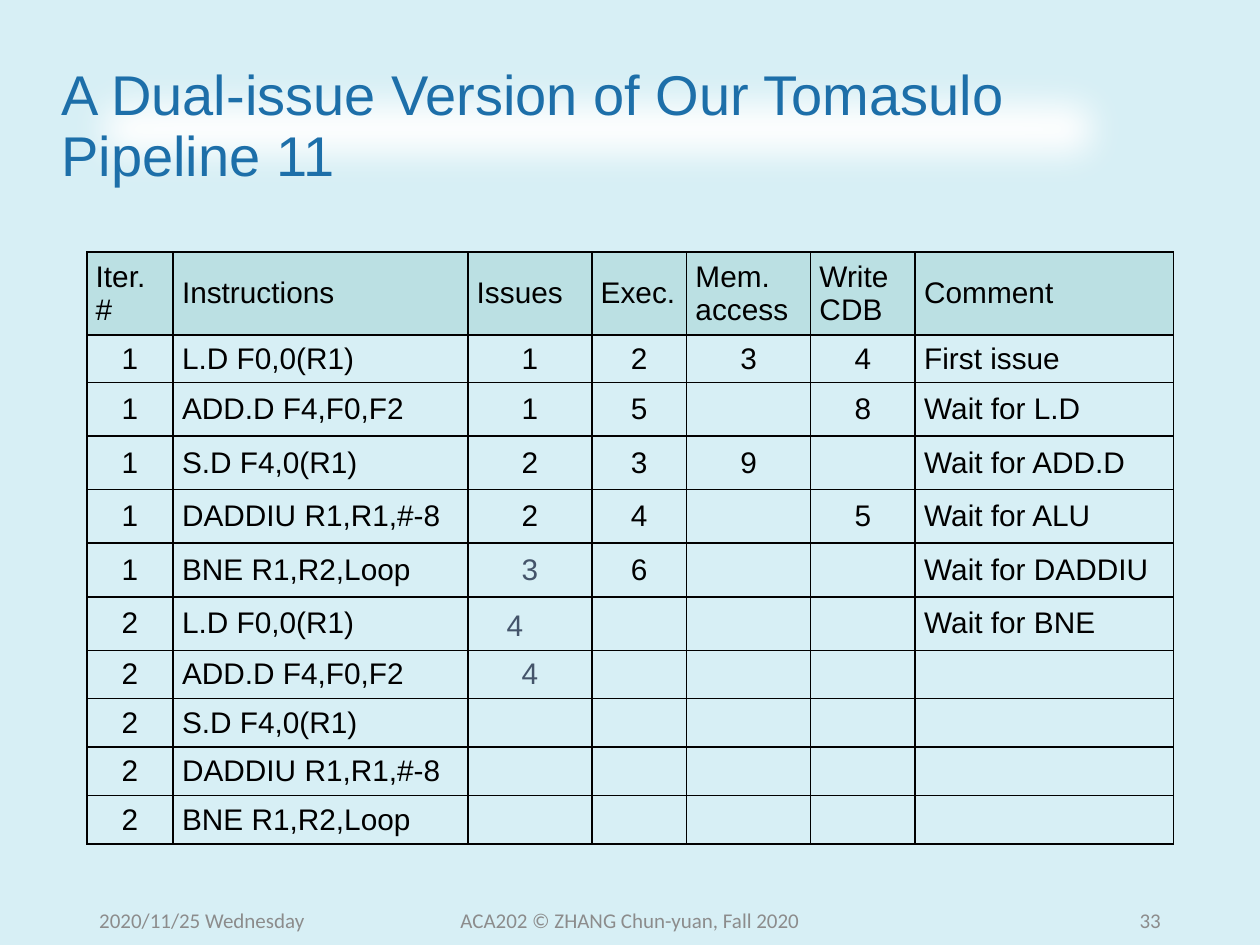
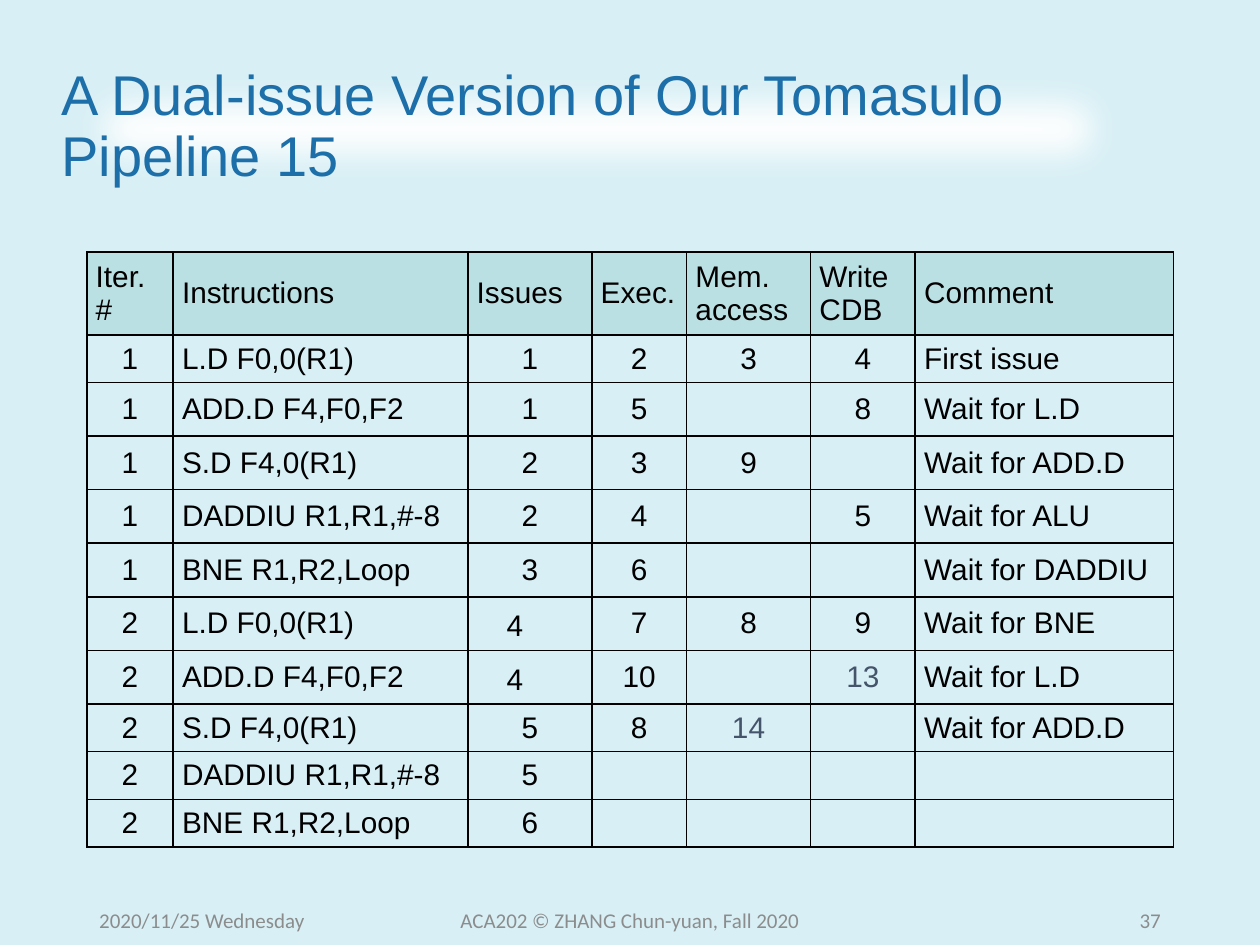
from lxml.etree import SubElement
from pptx import Presentation
from pptx.dml.color import RGBColor
from pptx.enum.shapes import MSO_SHAPE
from pptx.enum.text import MSO_ANCHOR, PP_ALIGN
from pptx.oxml.ns import qn
from pptx.util import Cm, Pt

BACKGROUND, TITLE_BLUE, HEADER_FILL = "D7EFF5", "1D6FA9", "BBE0E3"
BLACK, NEW_VALUE, FOOTER_GRAY = "000000", "44546A", "8C8C8C"
COLUMN_WIDTHS = [1.74, 5.94, 2.5, 1.91, 2.5, 2.11, 5.21]
HEADER_HEIGHT, ROW_HEIGHT, TALL_ROW_HEIGHT = 1.67, 0.96, 1.08
HEADINGS = ["Iter. #", "Instructions", "Issues", "Exec.", "Mem. access", "Write CDB", "Comment"]
LOOP_BODY = ["L.D F0,0(R1)", "ADD.D F4,F0,F2", "S.D F4,0(R1)", "DADDIU R1,R1,#-8", "BNE R1,R2,Loop"]
TEXT_COLUMNS = {1, 6}

FIRST_ITERATION = [
    ["1", "2", "3", "4", "First issue"],
    ["1", "5", "", "8", "Wait for L.D"],
    ["2", "3", "9", "", "Wait for ADD.D"],
    ["2", "4", "", "5", "Wait for ALU"],
    ["3", "6", "", "", "Wait for DADDIU"],
]
STEPS = [
    {
        "number": "11", "page": "33", "last_tall_row": 6,
        "new_cells": {(5, 2), (6, 2), (7, 2)},
        "second_iteration": [
            ["4　", "", "", "", "Wait for BNE"],
            ["4", "", "", "", ""],
            [""] * 5,
            [""] * 5,
            [""] * 5,
        ],
    },
    {
        "number": "15", "page": "37", "last_tall_row": 7,
        "new_cells": {(7, 5), (8, 4)},
        "second_iteration": [
            ["4　", "7", "8", "9", "Wait for BNE"],
            ["4　", "10", "", "13", "Wait for L.D"],
            ["5", "8", "14", "", "Wait for ADD.D"],
            ["5", "", "", "", ""],
            ["6", "", "", "", ""],
        ],
    },
]


def color(value):
    return RGBColor.from_string(value)


def write(frame, text, size=17, font="Arial", fill=BLACK, align=PP_ALIGN.LEFT, spacing=None):
    frame.word_wrap = True
    para = frame.paragraphs[0]
    para.alignment = align
    para.line_spacing = spacing
    span = para.add_run()
    span.text = text
    span.font.size = Pt(size)
    span.font.name = font
    span.font.color.rgb = color(fill)


deck = Presentation()
deck.slide_width, deck.slide_height = Cm(25.4), Cm(19.05)

for step in STEPS:
    page = deck.slides.add_slide(deck.slide_layouts[6])
    page.background.fill.solid()
    page.background.fill.fore_color.rgb = color(BACKGROUND)

    title = page.shapes.add_shape(MSO_SHAPE.RECTANGLE, Cm(0.99), Cm(1.02), Cm(22.07), Cm(3.12))
    title.fill.solid()
    title.fill.fore_color.rgb = color("FFFFFF")
    title.line.fill.background()
    title.shadow.inherit = False
    effects = title._element.spPr.find(qn("a:effectLst"))
    SubElement(effects, qn("a:softEdge"), rad=str(Pt(25)))
    title.text_frame.vertical_anchor = MSO_ANCHOR.MIDDLE
    write(title.text_frame, f"A Dual-issue Version of Our Tomasulo Pipeline {step['number']}",
          size=32, fill=TITLE_BLUE, spacing=0.9)

    rows = [HEADINGS]
    for iteration, timings in enumerate([FIRST_ITERATION, step["second_iteration"]], 1):
        for instruction, timing in zip(LOOP_BODY, timings):
            rows.append([str(iteration), instruction, *timing])

    frame = page.shapes.add_table(len(rows), len(HEADINGS), Cm(1.75), Cm(5.08),
                                  Cm(sum(COLUMN_WIDTHS)), Cm(11.25))
    table = frame.table
    table.first_row = table.horz_banding = False
    for column, width in zip(table.columns, COLUMN_WIDTHS):
        column.width = Cm(width)

    for row_index, values in enumerate(rows):
        is_header = row_index == 0
        is_tall = 2 <= row_index <= step["last_tall_row"]
        height = HEADER_HEIGHT if is_header else TALL_ROW_HEIGHT if is_tall else ROW_HEIGHT
        table.rows[row_index].height = Cm(height)
        for column_index, value in enumerate(values):
            cell = table.cell(row_index, column_index)
            cell.vertical_anchor = MSO_ANCHOR.MIDDLE
            cell.margin_left = cell.margin_right = Cm(0.18)
            cell.margin_top = cell.margin_bottom = Cm(0.1)
            properties = cell._tc.get_or_add_tcPr()
            for side in ("lnL", "lnR", "lnT", "lnB"):
                border = SubElement(properties, qn(f"a:{side}"), w=str(Pt(1)))
                SubElement(SubElement(border, qn("a:solidFill")), qn("a:srgbClr"), val=BLACK)
            if is_header:
                cell.fill.solid()
                cell.fill.fore_color.rgb = color(HEADER_FILL)
            else:
                cell.fill.background()
            if value:
                is_new = (row_index, column_index) in step["new_cells"]
                is_text = is_header or column_index in TEXT_COLUMNS
                write(cell.text_frame, value, fill=NEW_VALUE if is_new else BLACK,
                      align=PP_ALIGN.JUSTIFY if is_text else PP_ALIGN.CENTER)

    for left, width, text, align in [
        (1.75, 5.72, "2020/11/25 Wednesday", PP_ALIGN.LEFT),
        (8.41, 8.58, "ACA202 © ZHANG Chun-yuan, Fall 2020", PP_ALIGN.CENTER),
        (17.93, 5.72, step["page"], PP_ALIGN.RIGHT),
    ]:
        box = page.shapes.add_textbox(Cm(left), Cm(18.03), Cm(width), Cm(1.02))
        box.text_frame.vertical_anchor = MSO_ANCHOR.MIDDLE
        write(box.text_frame, text, size=12, font="Calibri", fill=FOOTER_GRAY, align=align)

deck.save("out.pptx")
